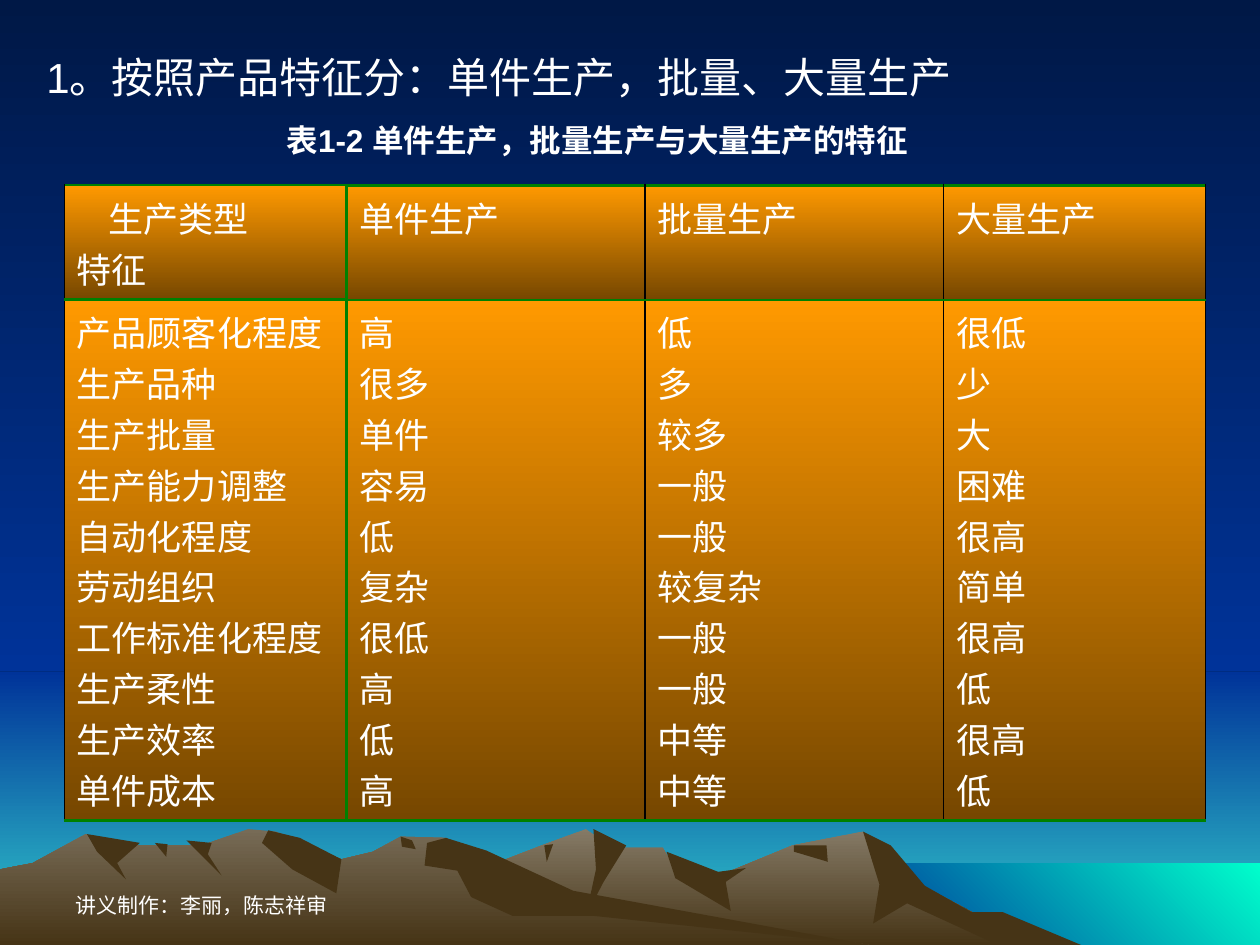
import pptx
import pptx.dml.color
import pptx.enum.shapes
import pptx.enum.text
import pptx.oxml
import pptx.oxml.ns
import pptx.util

COLORS = {
    "night": "001846", "blue": "003399", "horizon": "33CCCC", "water": "00FFCC",
    "haze": "857A66", "dusk": "776B56", "rock": "463416",
    "orange": "FF9900", "brown": "764700",
    "green": "008000", "black": "000000", "white": "FFFFFF",
}
WIDTH, HEIGHT = 10, 7.5
DOWN, UP_RIGHT = 270, 45

# Content
TITLE = "1。按照产品特征分：单件生产，批量、大量生产"
CAPTION = "表1-2 单件生产，批量生产与大量生产的特征"
CREDIT = "讲义制作：李丽，陈志祥审"
HEADER = [["生产类型", "特征"], ["单件生产"], ["批量生产"], ["大量生产"]]
FEATURES = [
    ("产品顾客化程度", "高", "低", "很低"),
    ("生产品种", "很多", "多", "少"),
    ("生产批量", "单件", "较多", "大"),
    ("生产能力调整", "容易", "一般", "困难"),
    ("自动化程度", "低", "一般", "很高"),
    ("劳动组织", "复杂", "较复杂", "简单"),
    ("工作标准化程度", "很低", "一般", "很高"),
    ("生产柔性", "高", "一般", "低"),
    ("生产效率", "低", "中等", "很高"),
    ("单件成本", "高", "中等", "低"),
]
COLUMN_WIDTHS = [2.24, 2.37, 2.37, 2.08]
ROW_HEIGHTS = [0.91, 4.13]
THIN, THICK, HAIR = 1, 2, 0.75

# Backdrop bands: colours, direction, left and top; each runs to the slide's corner
BANDS = [
    (("night", "blue"), DOWN, 0, 0, 5.33),
    (("blue", "horizon"), DOWN, 0, 5.33, HEIGHT),
    (("blue", "water"), UP_RIGHT, 6.83, 6.85, HEIGHT),
]
# Each range: its upper colour, its skyline and its shaded faces, in inches
RANGES = [
    ("haze",
     [(2.58, 7.5), (3.27, 7.09), (3.94, 6.85), (4.3, 6.71), (4.65, 6.58), (4.86, 6.73),
      (5.26, 6.73), (5.36, 6.9), (5.66, 6.97), (6.29, 6.71), (6.85, 6.6), (7.23, 6.98),
      (8.2, 7.5)],
     [[(6.85, 6.6), (7.07, 6.71), (7.34, 7.03), (7.71, 7.24), (7.96, 7.24), (8.58, 7.5),
       (7.92, 7.5), (7.2, 7.17), (6.93, 7.33), (6.98, 7.02)],
      [(4.71, 6.58), (4.97, 6.71), (4.79, 7), (4.65, 7.27), (4.73, 6.9)],
      [(5.29, 6.76), (5.7, 6.92), (5.92, 6.89), (5.76, 7), (5.8, 7.23), (5.36, 6.97)],
      [(6.3, 6.71), (6.56, 6.71), (6.57, 6.84), (6.3, 6.76)],
      [(4.32, 6.71), (4.39, 6.7), (4.34, 6.84)]]),
    ("dusk",
     [(0, 7.5), (0, 6.9), (0.26, 6.85), (0.68, 6.62), (0.94, 6.71), (1.6, 6.71),
      (1.97, 6.58), (2.19, 6.6), (2.71, 6.82), (2.96, 6.76), (3.18, 6.64), (3.54, 6.65),
      (4.32, 7.12), (6.9, 7.5)],
     [[(2.13, 6.59), (2.38, 6.65), (2.71, 6.82), (2.67, 7.09), (2.32, 6.9), (2.08, 6.69)],
      [(3.39, 6.69), (3.54, 6.65), (3.86, 6.75), (4.55, 7.07), (6.9, 7.5), (4.72, 7.27),
       (4.07, 7.27), (3.74, 7.12), (3.63, 6.91), (3.37, 6.87)],
      [(3.18, 6.64), (3.27, 6.67), (3.3, 6.74), (3.19, 6.72)],
      [(1.48, 6.67), (1.68, 6.69), (1.65, 6.78), (1.76, 6.95)],
      [(1.23, 6.69), (1.33, 6.7), (1.32, 6.8)],
      [(0.69, 6.62), (1.11, 6.69), (0.93, 6.85), (1, 6.98), (0.77, 6.76)]]),
]


def rgb(name):
    return pptx.dml.color.RGBColor.from_string(COLORS[name])


def paint(fill, names, angle=DOWN):
    if len(names) == 1:
        fill.solid()
        fill.fore_color.rgb = rgb(names[0])
        return
    fill.gradient()
    fill.gradient_angle = angle
    for stop, name in zip(fill.gradient_stops, names):
        stop.color.rgb = rgb(name)


def finish(shape, names, angle=DOWN):
    shape.shadow.inherit = False
    shape.line.fill.background()
    paint(shape.fill, names, angle)


def add_outline(page, points, *names):
    points = [(round(x * 100), round(y * 100)) for x, y in points]
    builder = page.shapes.build_freeform(*points[0], scale=pptx.util.Inches(0.01))
    builder.add_line_segments(points[1:], close=True)
    finish(builder.convert_to_shape(), names)


def add_scenery(page):
    for names, angle, left, top, bottom in BANDS:
        place = map(pptx.util.Inches, (left, top, WIDTH - left, bottom - top))
        finish(page.shapes.add_shape(
            pptx.enum.shapes.MSO_SHAPE.RECTANGLE, *place), names, angle)
    for color, skyline, faces in RANGES:
        add_outline(page, skyline, color, "rock")
        for face in faces:
            add_outline(page, face, "rock")


def write(para, text, size, face, bold=False):
    span = para.add_run()
    span.text = text
    para.font.size = pptx.util.Pt(size)
    para.font.bold = bold
    para.font.color.rgb = rgb("white")
    # Chinese characters and Latin letters share one face
    for font in (para.font, span.font):
        font.name = face
        east_asian = pptx.oxml.parse_xml(
            f'<a:ea {pptx.oxml.ns.nsdecls("a")} typeface="{face}"/>')
        font._element.find(pptx.oxml.ns.qn("a:latin")).addnext(east_asian)


def add_text(page, text, place, size, anchor, bold=False, align=None):
    box = page.shapes.add_textbox(*map(pptx.util.Inches, place))
    frame = box.text_frame
    frame.word_wrap = True
    frame.vertical_anchor = anchor
    para = frame.paragraphs[0]
    para.alignment = align
    write(para, text, size, "Arial", bold)


def border(cell, lines):
    properties = cell._tc.get_or_add_tcPr()
    for index, (side, (color, weight)) in enumerate(zip("LRTB", lines)):
        properties.insert(index, pptx.oxml.parse_xml(
            f'<a:ln{side} {pptx.oxml.ns.nsdecls("a")} w="{pptx.util.Pt(weight)}">'
            f'<a:solidFill><a:srgbClr val="{COLORS[color]}"/></a:solidFill></a:ln{side}>'))


def vertical_line(index):
    return ("green", THICK) if index == 1 else ("black", HAIR)


def horizontal_line(index, column):
    thin = (index == 0 and column == 0) or (index == 1 and column > 0)
    return "green", THIN if thin else THICK


def add_feature_table(page):
    place = map(pptx.util.Inches, (0.51, 1.47, sum(COLUMN_WIDTHS), sum(ROW_HEIGHTS)))
    table = page.shapes.add_table(len(ROW_HEIGHTS), len(COLUMN_WIDTHS), *place).table
    table.first_row = table.horz_banding = False
    for column, width in zip(table.columns, COLUMN_WIDTHS):
        column.width = pptx.util.Inches(width)
    for row, height in zip(table.rows, ROW_HEIGHTS):
        row.height = pptx.util.Inches(height)
    for r, texts in enumerate([HEADER, list(zip(*FEATURES))]):
        for c, lines in enumerate(texts):
            cell = table.cell(r, c)
            paint(cell.fill, ("orange", "brown"))
            border(cell, [vertical_line(c), vertical_line(c + 1),
                          horizontal_line(r, c), horizontal_line(r + 1, c)])
            frame = cell.text_frame
            for i, line in enumerate(lines):
                para = frame.add_paragraph() if i else frame.paragraphs[0]
                write(para, line, 20, "Noto Sans CJK SC")
    # The column heading of the corner cell is set in from the row heading
    corner = table.cell(0, 0).text_frame.paragraphs[0]
    corner._p.get_or_add_pPr().set("marL", str(pptx.util.Inches(0.25)))


def main():
    deck = pptx.Presentation()
    deck.slide_width = pptx.util.Inches(WIDTH)
    deck.slide_height = pptx.util.Inches(HEIGHT)
    page = deck.slides.add_slide(deck.slide_layouts[6])
    paint(page.background.fill, ("night", "blue"))
    add_scenery(page)

    # Texts and table
    anchors = pptx.enum.text.MSO_ANCHOR
    add_text(page, CREDIT, (0.5, 6.83, 2.33, 0.5), 12, anchors.BOTTOM)
    add_feature_table(page)
    add_text(page, CAPTION, (2.01, 0.91, 5.46, 0.4), 18, anchors.MIDDLE, True,
             pptx.enum.text.PP_ALIGN.CENTER)
    add_text(page, TITLE, (0.27, 0.36, 7.39, 0.5), 24, anchors.TOP)
    deck.save("out.pptx")


if __name__ == "__main__":
    main()
